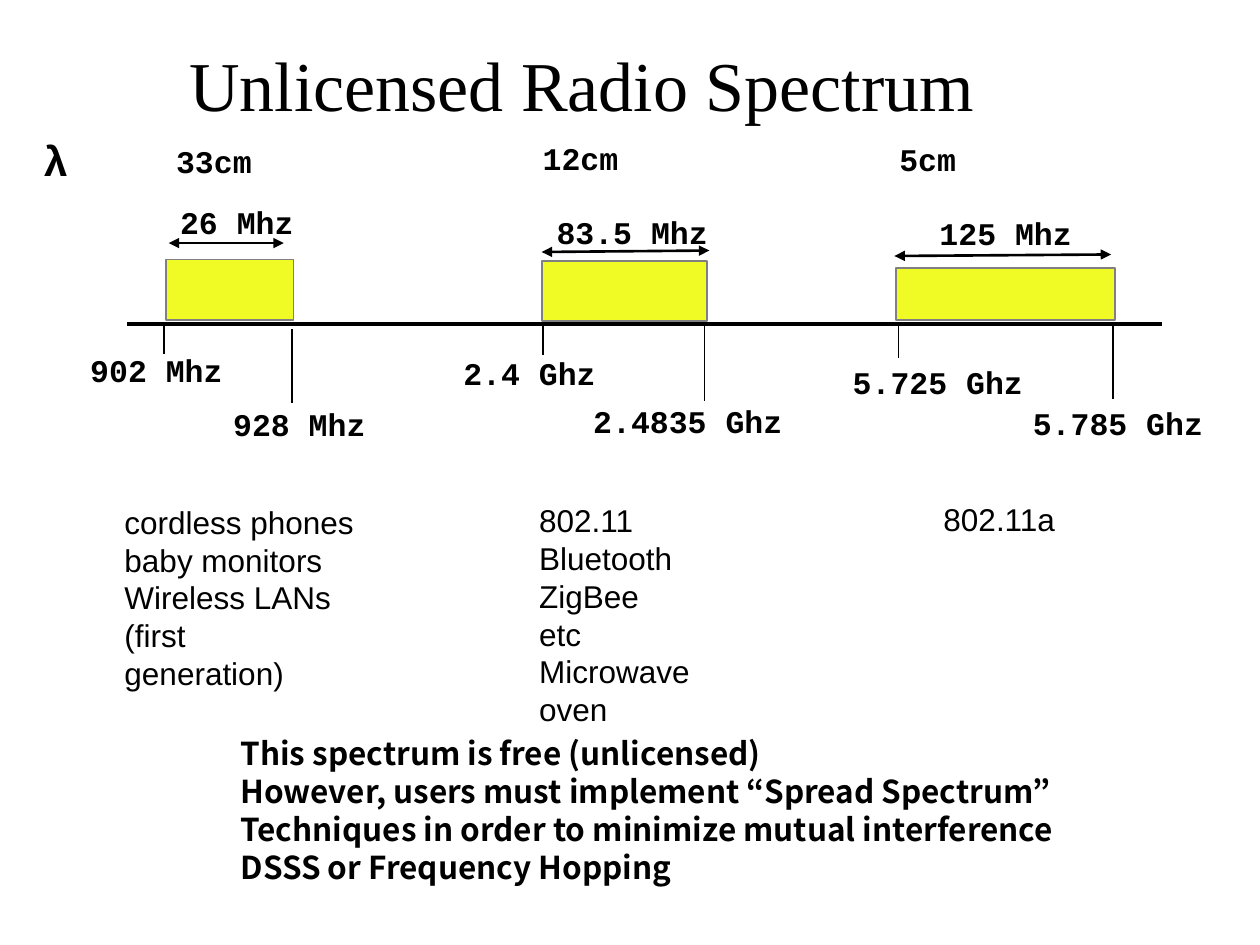
import pptx
import pptx.dml.color
import pptx.enum.shapes
import pptx.enum.text
import pptx.oxml
import pptx.oxml.ns
import pptx.util
from pptx.util import Cm

COLORS = {"ink": "000000", "band": "F0FA24", "edge": "808080"}
MONO, SANS, NOTE = "Courier New", "Arial", "Noto Sans CJK KR"
LEADING = 1.2  # line pitch as a multiple of the font size
CM_PER_PT = 2.54 / 72


def rgb(name):
    return pptx.dml.color.RGBColor.from_string(COLORS[name])


def fill_text(tf, text, font=SANS, size=18, bold=False, color="ink", align=None, leading=LEADING):
    """Write one paragraph per line of text."""
    for i, line in enumerate(text.split("\n")):
        p = tf.paragraphs[0] if i == 0 else tf.add_paragraph()
        p.alignment = align
        if leading:
            p.line_spacing = pptx.util.Pt(size * leading)
        r = p.add_run()
        r.text = line
        r.font.name, r.font.size, r.font.bold = font, pptx.util.Pt(size), bold
        r.font.color.rgb = rgb(color)


class Deck:
    def __init__(self, prs):
        self.s = prs.slides.add_slide(prs.slide_layouts[5])

    def title(self, text):
        sp = self.s.shapes.title
        sp.left, sp.top, sp.width, sp.height = Cm(1.27), Cm(0), Cm(22.86), Cm(3.18)
        tf = sp.text_frame
        tf.auto_size = pptx.enum.text.MSO_AUTO_SIZE.NONE
        tf.vertical_anchor = pptx.enum.text.MSO_ANCHOR.MIDDLE
        tf.margin_right = Cm(2.2)  # sets the title left of centre
        tf.margin_top = Cm(0.3)
        fill_text(tf, text, font="Times New Roman", size=40, leading=None,
                  align=pptx.enum.text.PP_ALIGN.CENTER)

    def text(self, x, y, w, text, size=18, **style):
        lines = text.count("\n") + 1
        h = 0.25 + lines * size * LEADING * CM_PER_PT
        tf = self.s.shapes.add_textbox(Cm(x), Cm(y), Cm(w), Cm(h)).text_frame
        tf.word_wrap = False
        tf.auto_size = pptx.enum.text.MSO_AUTO_SIZE.SHAPE_TO_FIT_TEXT
        fill_text(tf, text, size=size, **style)

    def label(self, x, y, text):
        """Monospaced label, its box as wide as its characters."""
        self.text(x, y, 0.51 + 0.38 * len(text), text, font=MONO, bold=True)

    def block(self, x, y, w, h):
        sp = self.s.shapes.add_shape(pptx.enum.shapes.MSO_SHAPE.RECTANGLE,
                                     Cm(x), Cm(y), Cm(w), Cm(h))
        sp.shadow.inherit = False
        sp.fill.solid()
        sp.fill.fore_color.rgb = rgb("band")
        sp.line.color.rgb = rgb("edge")
        sp.line.width = pptx.util.Pt(1)

    def line(self, x1, y1, x2, y2, width=1, arrows=False):
        c = self.s.shapes.add_connector(pptx.enum.shapes.MSO_CONNECTOR.STRAIGHT,
                                        Cm(x1), Cm(y1), Cm(x2), Cm(y2))
        c.line.color.rgb = rgb("ink")
        c.line.width = pptx.util.Pt(width)
        ln = c.line._get_or_add_ln()
        for end in ("a:headEnd", "a:tailEnd") if arrows else ():
            el = pptx.oxml.xmlchemy.OxmlElement(end)
            el.set("type", "triangle")
            ln.append(el)
        c._element.spPr.append(pptx.oxml.xmlchemy.OxmlElement("a:effectLst"))


BANDS = [
    dict(block=(3.35, 5.23, 2.57, 1.22), span=(3.4, 4.9, 5.72, 4.9),
         ticks=[(3.3, 6.5, 7.14), (5.89, 6.63, 8.13)],
         labels=[(3.3, 2.74, "33cm"), (3.38, 3.96, "26 Mhz"),
                 (1.57, 6.96, "902 Mhz"), (4.45, 8.05, "928 Mhz")],
         uses=(2.26, 10.01, 6.07,
               "cordless phones\nbaby monitors\nWireless LANs (first\ngeneration)")),
    dict(block=(10.92, 5.26, 3.33, 1.22), span=(10.92, 5.08, 14.3, 5.05),
         ticks=[(10.95, 6.55, 7.16), (14.2, 6.58, 8.08)],
         labels=[(10.69, 2.67, "12cm"), (10.97, 4.17, "83.5 Mhz"),
                 (9.09, 7.01, "2.4 Ghz"), (11.71, 7.98, "2.4835 Ghz")],
         uses=(10.62, 9.98, 5.08, "802.11\nBluetooth\nZigBee\netc\nMicrowave oven")),
    dict(block=(18.06, 5.41, 4.42, 1.04), span=(18.03, 5.16, 22.4, 5.13),
         ticks=[(18.11, 6.58, 7.21), (22.43, 6.55, 8.05)],
         labels=[(17.88, 2.69, "5cm"), (18.69, 4.19, "125 Mhz"),
                 (16.94, 7.19, "5.725 Ghz"), (20.57, 8.03, "5.785 Ghz")],
         uses=(18.77, 9.96, 2.79, "802.11a")),
]


def main():
    prs = pptx.Presentation()
    prs.slide_width, prs.slide_height = Cm(25.4), Cm(19.05)
    deck = Deck(prs)
    deck.title("Unlicensed Radio Spectrum")
    deck.text(0.64, 2.59, 0.97, "λ", size=24, bold=True)
    deck.line(2.57, 6.53, 23.42, 6.53, width=2.25)
    for band in BANDS:
        deck.block(*band["block"])
        deck.line(*band["span"], width=1.5, arrows=True)
        for x, top, bottom in band["ticks"]:
            deck.line(x, top, x, bottom)
        for label in band["labels"]:
            deck.label(*label)
        deck.text(*band["uses"])
    deck.text(4.6, 14.68, 17.32,
              "This spectrum is free (unlicensed)\n"
              "However, users must implement “Spread Spectrum”\n"
              "Techniques in order to minimize mutual interference\n"
              "DSSS or Frequency Hopping", font=NOTE, bold=True)
    prs.save("out.pptx")


if __name__ == "__main__":
    main()
